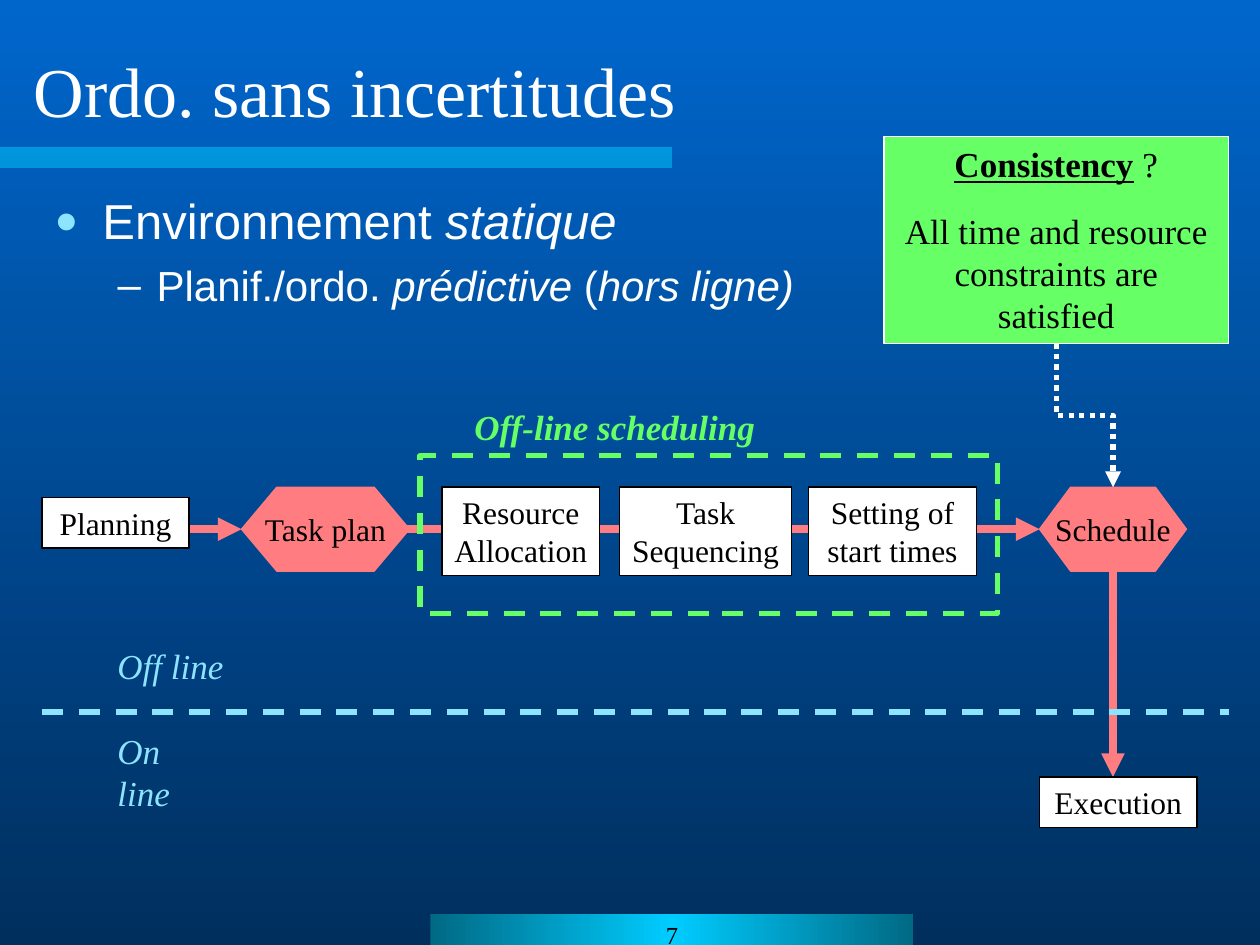
from copy import deepcopy

from lxml import etree
from pptx import Presentation
from pptx import util as u
from pptx.dml.color import RGBColor
from pptx.enum import dml, shapes, text
from pptx.oxml import ns

WHITE = RGBColor(0xFF, 0xFF, 0xFF)
BLACK = RGBColor(0, 0, 0)
CORAL = RGBColor(0xFF, 0x7C, 0x80)
GREEN = RGBColor(0x66, 0xFF, 0x66)
PALE = RGBColor(0x8D, 0xE4, 0xFF)
CYAN = RGBColor(0, 0xCC, 0xFF)
TEAL = RGBColor(0, 0x69, 0x84)
SKY = RGBColor(0, 0x66, 0xCC)
NAVY = RGBColor(0, 0x2F, 0x5E)
SERIF, SANS = "Times New Roman", "Arial"
CELL = u.Inches(1) / 12
RECT, HEXAGON = shapes.MSO_SHAPE.RECTANGLE, shapes.MSO_SHAPE.HEXAGON


def cells(*values):
    """Convert grid cells, 120 across and 90 down the slide, to lengths."""
    return [u.Emu(round(v * CELL)) for v in values]


def add_xml(parent, tag, **attrs):
    """Append a DrawingML element."""
    return etree.SubElement(parent, ns.qn("a:" + tag), attrs)


def style(r, size, color, font=SERIF, bold=False, italic=False):
    """Format a run."""
    r.font.size, r.font.name = u.Pt(size), font
    r.font.bold, r.font.italic = bold, italic
    r.font.color.rgb = color


def write(sp, lines, size, color, align=text.PP_ALIGN.CENTER, wrap=False, **look):
    """Write one paragraph per line into a shape."""
    tf = sp.text_frame
    tf.word_wrap = wrap
    tf.text = lines
    for p in tf.paragraphs:
        p.alignment = align
        for r in p.runs:
            style(r, size, color, **look)
    return tf


def add_box(s, at, fill=None, line=None, width=0.75, kind=RECT):
    """Add a filled or outlined shape with its text at the top."""
    sp = s.shapes.add_shape(kind, *cells(*at))
    sp.shadow.inherit = False
    for part, color in ((sp.fill, fill), (sp.line.fill, line)):
        if color is None:
            part.background()
        else:
            part.solid()
            part.fore_color.rgb = color
    if line is not None:
        sp.line.width = u.Pt(width)
    sp.text_frame.vertical_anchor = text.MSO_ANCHOR.TOP
    return sp


def add_step(s, at, lines):
    """Add a white box naming a step."""
    write(add_box(s, at, WHITE, BLACK), lines, 18, BLACK)


def add_state(s, at, label, slant):
    """Add a hexagon naming a result."""
    sp = add_box(s, at, CORAL, CORAL, kind=HEXAGON)
    sp.adjustments[0] = slant
    write(sp, label, 18, BLACK).vertical_anchor = text.MSO_ANCHOR.MIDDLE


def add_label(s, at, label, color, bold=False):
    """Add an italic caption."""
    sp = s.shapes.add_textbox(*cells(*at))
    write(sp, label, 20, color, text.PP_ALIGN.LEFT, bold=bold, italic=True)


def add_line(s, ends, color, width, kind=shapes.MSO_CONNECTOR.STRAIGHT,
             dash=None, arrow=False):
    """Add a connector between two grid points."""
    c = s.shapes.add_connector(kind, *cells(*ends))
    c.line.color.rgb, c.line.width = color, u.Pt(width)
    if dash is not None:
        c.line.dash_style = dash
    if arrow:
        add_xml(c.line._get_or_add_ln(), "tailEnd", type="triangle")
    add_xml(c._element.spPr, "effectLst")
    return c


def add_backdrop(s):
    """Paint the background, the title rule and the page number bar."""
    fill = s.background.fill
    fill.gradient()
    fill.gradient_angle = 270
    for stop, color in zip(fill.gradient_stops, (SKY, NAVY)):
        stop.color.rgb = color
    rule = add_box(s, (0, 14, 64, 2), CYAN)
    srgb = rule._element.spPr.find(".//" + ns.qn("a:srgbClr"))
    add_xml(srgb, "alpha", val="50000")
    bar = add_box(s, (41, 87, 46, 3))
    bar.fill.gradient()
    bar.fill.gradient_angle = 0
    stops = bar._element.spPr.find(".//" + ns.qn("a:gsLst"))
    stops.append(deepcopy(stops[0]))
    for i, (stop, color) in enumerate(zip(bar.fill.gradient_stops, (TEAL, CYAN, TEAL))):
        stop.color.rgb = color
        stop.position = i / 2
    write(bar, "7", 14, BLACK)


def place(sp, at, anchor):
    """Move a placeholder and fix its text settings."""
    sp.left, sp.top, sp.width, sp.height = cells(*at)
    tf = sp.text_frame
    tf.auto_size, tf.vertical_anchor = text.MSO_AUTO_SIZE.NONE, anchor
    return tf


def add_title(s, at):
    """Fill the title placeholder."""
    place(s.shapes.title, at, text.MSO_ANCHOR.MIDDLE)
    write(s.shapes.title, "Ordo. sans incertitudes", 40, WHITE,
          text.PP_ALIGN.LEFT, wrap=True)


def add_bullets(s, at):
    """Fill the body placeholder with the two-level list."""
    tf = place(s.placeholders[1], at, text.MSO_ANCHOR.TOP)
    items = (
        (("Environnement ", "statique"), 28, 0.38, 0.38, 0, "●", PALE, 80),
        (("Planif./ordo. ", "prédictive", " (", "hors ligne)"),
         24, 0.81, 0.31, 6, "–", WHITE, 100),
    )
    for level, (parts, size, margin, hang, before, mark, color, scale) in enumerate(items):
        p = tf.add_paragraph() if level else tf.paragraphs[0]
        p.level, p.space_before = level, u.Pt(before)
        pPr = p._p.get_or_add_pPr()
        pPr.set("marL", str(u.Inches(margin)))
        pPr.set("indent", str(-u.Inches(hang)))
        add_xml(add_xml(pPr, "buClr"), "srgbClr", val=str(color))
        add_xml(pPr, "buSzPct", val=str(scale * 1000))
        add_xml(pPr, "buFont", typeface=SANS)
        add_xml(pPr, "buChar", char=mark)
        for i, part in enumerate(parts):
            r = p.add_run()
            r.text = part
            style(r, size, WHITE, SANS, italic=i % 2 == 1)


def add_flow(s, x, y, h):
    """Draw the chain from planning through scheduling to execution."""
    mid = y + h / 2
    add_line(s, (x + 102, mid, x + 102, y + 27.6), CORAL, 4.5, arrow=True)
    add_step(s, (x + 95, y + 27.6, 15, 4.8), "Execution")
    add_line(s, (x + 34, mid, x + 95, mid), CORAL, 4.5, arrow=True)
    add_state(s, (x + 95, y, 14, h), "Schedule", 0.37)
    for left, width, lines in ((38.1, 15, "Resource\nAllocation"),
                               (55, 16.4, "Task\nSequencing"),
                               (73, 16, "Setting of\nstart times")):
        add_step(s, (x + left, y, width, 8.4), lines)
    add_state(s, (x + 19, y, 16, h), "Task plan", 0.42)
    add_line(s, (x + 14, mid, x + 19, mid), CORAL, 4.5, arrow=True)
    add_step(s, (x, y + 1, 14, 4.8), "Planning")


def add_consistency(s, x, y, w, h, target):
    """Draw the consistency question and its dotted elbow to the target."""
    sp = add_box(s, (x, y, w, h), GREEN, WHITE)
    tf = write(sp, "Consistency\nAll time and resource\nconstraints are satisfied",
               20, BLACK, wrap=True)
    head = tf.paragraphs[0]
    head.runs[0].font.bold = head.runs[0].font.underline = True
    r = head.add_run()
    r.text = " ?"
    style(r, 20, BLACK)
    tf.paragraphs[1].space_before = u.Pt(14)
    x0, y0, (x1, y1) = x + w / 2, y + h, target
    cx, cy, a, b = (x0 + x1) / 2, (y0 + y1) / 2, (y1 - y0) / 2, (x1 - x0) / 2
    c = add_line(s, (cx + a, cy - b, cx - a, cy + b), WHITE, 3,
                 shapes.MSO_CONNECTOR.ELBOW, dml.MSO_LINE.ROUND_DOT, True)
    c._element.spPr.xfrm.set("rot", str(270 * 60000))


def add_divider(s, x, y, w):
    """Separate the off-line part from the on-line part."""
    add_line(s, (x, y, x + w, y), PALE, 3, dash=dml.MSO_LINE.DASH)
    add_label(s, (x + 6, y - 7, 12.5, 5.3), "Off line", PALE)
    add_label(s, (x + 6, y + 1.1, 12.2, 5.3), "On line", PALE)


def add_scope(s, x, y, w, h):
    """Frame the off-line scheduling steps."""
    sp = add_box(s, (x, y, w, h), line=GREEN, width=3)
    sp.line.dash_style = dml.MSO_LINE.DASH
    add_label(s, (x + 4, y - 5.4, 29.2, 5.3), "Off-line scheduling", GREEN, True)


def main():
    """Build the slide and save it."""
    prs = Presentation()
    prs.slide_width, prs.slide_height = cells(120, 90)
    s = prs.slides.add_slide(prs.slide_layouts[1])
    add_backdrop(s)
    add_flow(s, 4, 46.4, 8)
    add_consistency(s, 84.2, 13, 32.8, 19.7, (106, 46.4))
    add_divider(s, 4, 67.8, 113)
    add_title(s, (2, 3, 116, 11))
    add_scope(s, 40, 43.4, 55, 15)
    add_bullets(s, (4, 17.5, 73, 15.2))
    prs.save("out.pptx")


if __name__ == "__main__":
    main()
